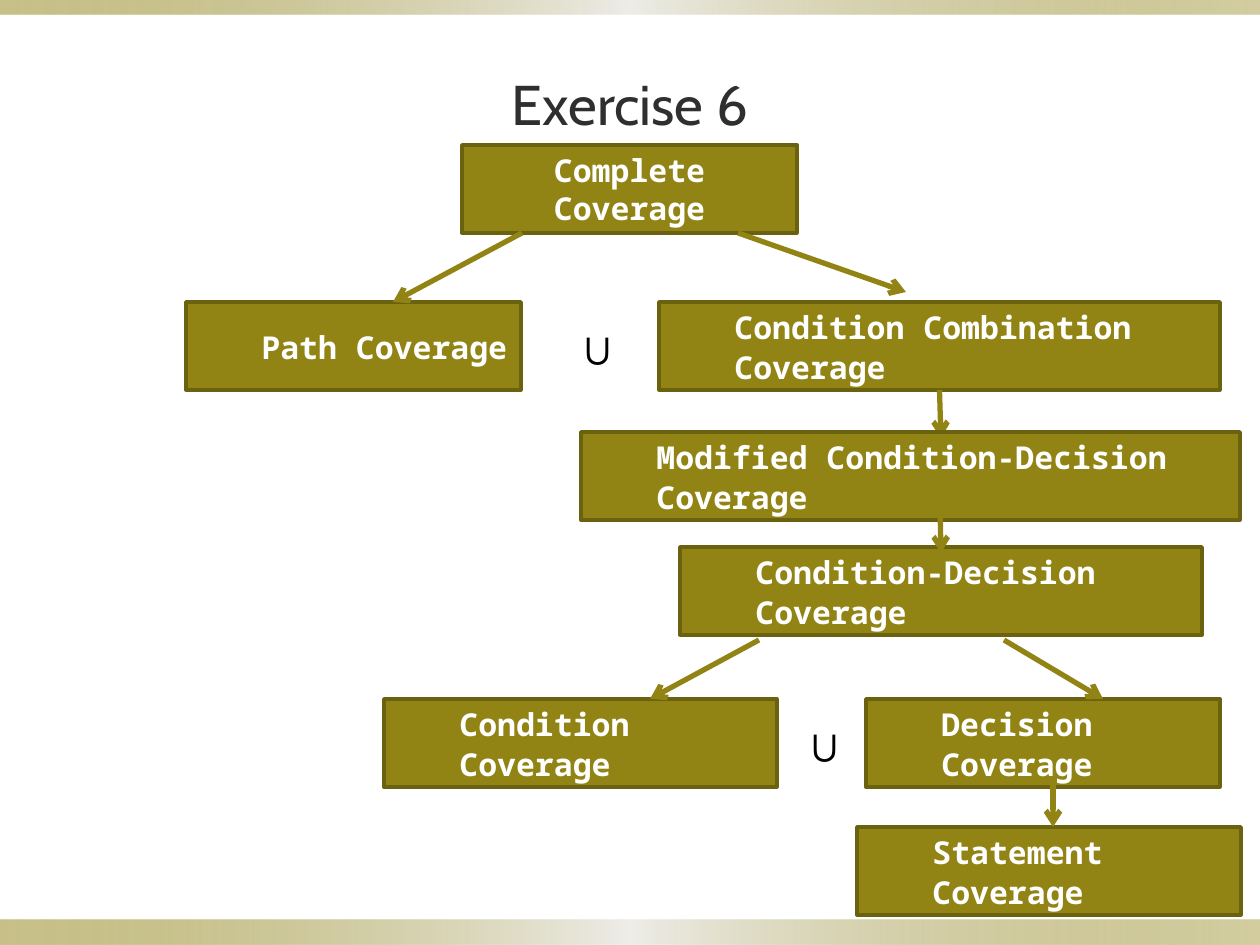
from dataclasses import dataclass

from lxml import etree
from pptx import Presentation
from pptx.dml.color import RGBColor
from pptx.enum.shapes import MSO_CONNECTOR, MSO_SHAPE
from pptx.enum.text import MSO_ANCHOR, PP_ALIGN
from pptx.oxml import parse_xml
from pptx.oxml.ns import nsdecls, qn
from pptx.util import Emu, Pt

RECT = MSO_SHAPE.RECTANGLE
STRAIGHT = MSO_CONNECTOR.STRAIGHT
MIDDLE = MSO_ANCHOR.MIDDLE
CENTER, LEFT = PP_ALIGN.CENTER, PP_ALIGN.LEFT
BOTTOM_SIDE = 2

SLIDE_W, SLIDE_H = 1260, 945
BOX_H = 88
INDENT = 63


def px(length):
    return Emu(round(length * 914400 / 126))


@dataclass(frozen=True)
class Theme:
    olive: str = "918415"
    border: str = "6B6210"
    pale: str = "EEEDE8"
    white: str = "FFFFFF"
    black: str = "000000"
    title_color: str = "2F2F2F"
    title_font: str = "Cabin"
    box_font: str = "Noto Sans Mono"
    symbol_font: str = "Times New Roman"
    title_size: int = 32
    box_size: int = 18
    symbol_size: int = 28
    border_width: int = 2
    arrow_width: int = 3


class Diagram:
    def __init__(self, slide, theme):
        self.shapes = slide.shapes
        self.theme = theme

    def _write(self, shape, text, font, size, color, bold, align=CENTER):
        frame = shape.text_frame
        frame.word_wrap = True
        frame.vertical_anchor = MIDDLE
        paragraph = frame.paragraphs[0]
        paragraph.alignment = align
        run = paragraph.add_run()
        run.text = text
        run.font.name = font
        run.font.size = Pt(size)
        run.font.bold = bold
        run.font.color.rgb = RGBColor.from_string(color)
        return paragraph

    def band(self, top, height):
        """Full-width strip that fades to pale in the middle."""
        strip = self.shapes.add_shape(RECT, 0, px(top), px(SLIDE_W), px(height))
        strip.shadow.inherit = False
        strip.line.fill.background()
        stops = "".join(
            f'<a:gs pos="{pos}"><a:srgbClr val="{color}">'
            f'<a:alpha val="{alpha}"/></a:srgbClr></a:gs>'
            for pos, color, alpha in (
                (0, self.theme.olive, 50000),
                (50000, self.theme.pale, 100000),
                (100000, self.theme.olive, 40000),
            )
        )
        gradient = parse_xml(
            f'<a:gradFill {nsdecls("a")}><a:gsLst>{stops}</a:gsLst>'
            '<a:lin ang="0" scaled="0"/></a:gradFill>'
        )
        strip.element.spPr.find(qn("a:prstGeom")).addnext(gradient)

    def box(self, text, left, top, width, centered=False):
        t = self.theme
        box = self.shapes.add_shape(RECT, px(left), px(top), px(width), px(BOX_H))
        box.shadow.inherit = False
        box.fill.solid()
        box.fill.fore_color.rgb = RGBColor.from_string(t.olive)
        box.line.color.rgb = RGBColor.from_string(t.border)
        box.line.width = Pt(t.border_width)
        paragraph = self._write(box, text, t.box_font, t.box_size, t.white, True,
                                CENTER if centered else LEFT)
        paragraph.level = 1
        properties = paragraph._p.get_or_add_pPr()
        properties.set("marL", str(0 if centered else px(INDENT)))
        properties.set("indent", "0")
        if not centered:
            paragraph.line_spacing = 1.05
        return box

    def arrow(self, start, end, source=None):
        """Arrow from start to end, joined to the bottom of source if given."""
        line = self.shapes.add_connector(STRAIGHT, *map(px, start + end))
        if source is not None:
            line.begin_connect(source, BOTTOM_SIDE)
        line.line.color.rgb = RGBColor.from_string(self.theme.olive)
        line.line.width = Pt(self.theme.arrow_width)
        etree.SubElement(line.line._get_or_add_ln(), qn("a:tailEnd"), type="arrow")
        etree.SubElement(line._element.spPr, qn("a:effectLst"))

    def union(self, left, top):
        t = self.theme
        symbol = self.shapes.add_textbox(px(left), px(top), px(59), px(BOX_H))
        self._write(symbol, "∪", t.symbol_font, t.symbol_size, t.black, True)

    def title(self, text):
        t = self.theme
        title = self.shapes.add_textbox(px(63), px(38), px(1134), px(130))
        self._write(title, text, t.title_font, t.title_size, t.title_color, False)


def main():
    presentation = Presentation()
    presentation.slide_width = px(SLIDE_W)
    presentation.slide_height = px(SLIDE_H)
    slide = presentation.slides.add_slide(presentation.slide_layouts[6])
    diagram = Diagram(slide, Theme())

    diagram.band(920, 25)
    diagram.band(0, 15)

    second_row, last_pair_row = 302, 699
    diagram.box("Complete Coverage", 462, 145, 335, centered=True)
    diagram.box("Path Coverage", 186, second_row, 335)
    combination = diagram.box("Condition Combination Coverage", 659, second_row, 561)
    diagram.box("Condition-Decision Coverage", 680, 547, 522)
    diagram.box("Condition Coverage", 384, last_pair_row, 393)
    diagram.box("Decision Coverage", 866, last_pair_row, 354)
    diagram.box("Statement Coverage", 857, 827, 384)

    diagram.arrow((522, 233), (393, second_row))
    diagram.arrow((738, 233), (906, 292))
    diagram.arrow((940, 390), (941, 438), source=combination)
    diagram.union(561, second_row)
    diagram.union(788, last_pair_row)
    diagram.arrow((759, 640), (650, last_pair_row))
    diagram.arrow((1004, 640), (1103, last_pair_row))
    diagram.arrow((1053, 777), (1053, 827))

    diagram.title("Exercise 6")
    diagram.box("Modified Condition-Decision Coverage", 581, 432, 659)
    diagram.arrow((940, 505), (941, 553))

    presentation.save("out.pptx")


if __name__ == "__main__":
    main()
